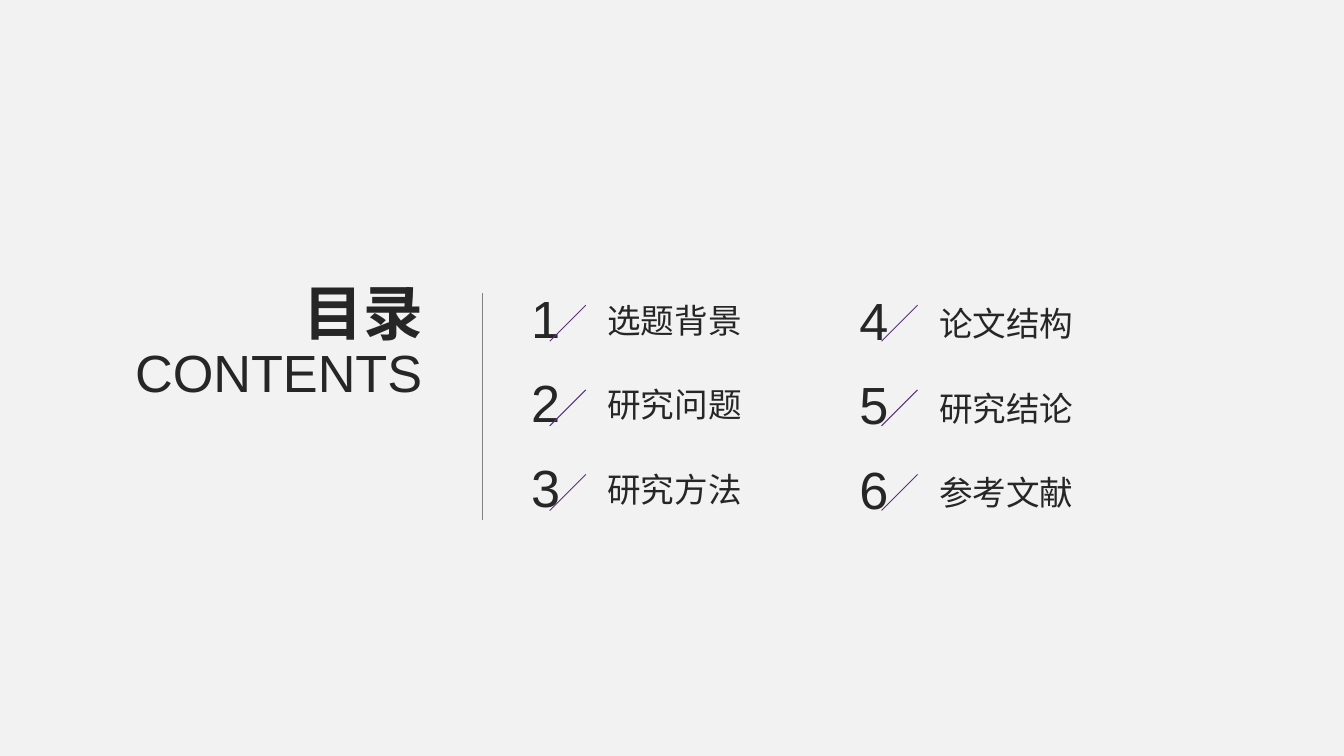
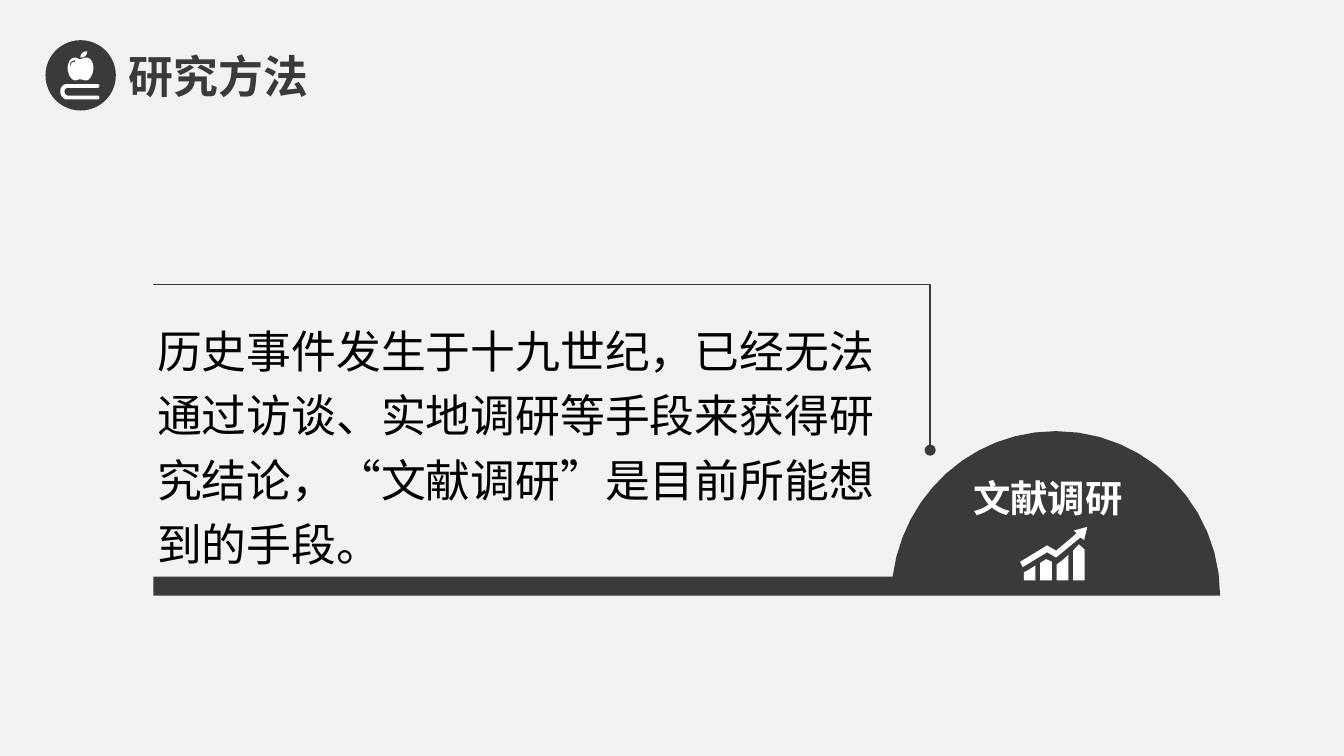
from lxml import etree
from pptx import Presentation
from pptx import util as u
from pptx.dml.color import RGBColor
from pptx.enum import lang, shapes, text
from pptx.oxml.ns import qn

PAPER, INK, DARK = "F2F2F2", "262626", "3A3A3A"
WHITE, BLACK, GREY, PLUM = "FFFFFF", "000000", "808080", "5C307D"
LATIN, HAN = "Arial", "Noto Sans CJK SC"
LEFT, MID, RIGHT = (text.PP_ALIGN.LEFT, text.PP_ALIGN.CENTER,
                    text.PP_ALIGN.RIGHT)


def rgb(code):
    return RGBColor.from_string(code)


def trace(start, steps):
    """Points after start; a step of six numbers is a cubic curve."""
    points, (x, y) = [], start
    for step in steps:
        if len(step) == 6:
            a, b, c, d, e, f = step
            for i in range(1, 13):
                t = i / 12
                s = 1 - t
                k = (s ** 3, 3 * s * s * t, 3 * s * t * t, t ** 3)
                points.append((k[0] * x + k[1] * a + k[2] * c + k[3] * e,
                               k[0] * y + k[1] * b + k[2] * d + k[3] * f))
        else:
            points.append(step)
        x, y = step[-2:]
    return [(u.Cm(px), u.Cm(py)) for px, py in points]


class Deck:
    def __init__(self):
        self.prs = Presentation()
        self.prs.slide_width = u.Cm(25.4)
        self.prs.slide_height = u.Cm(14.29)

    def page(self):
        self.slide = self.prs.slides.add_slide(self.prs.slide_layouts[5])
        fill = self.slide.background.fill
        fill.solid()
        fill.fore_color.rgb = rgb(PAPER)
        self.shapes = self.slide.shapes

    def letter(self, box, words, size, color, face=HAN, bold=False,
               align=LEFT, wrap=False, gap=None, inset=True):
        """Put one styled run of text into a box."""
        frame = box.text_frame
        frame.word_wrap = wrap
        frame.auto_size = text.MSO_AUTO_SIZE.NONE
        frame.vertical_anchor = text.MSO_ANCHOR.TOP
        if not inset:
            frame.margin_left = frame.margin_right = 0
            frame.margin_top = frame.margin_bottom = 0
        para = frame.paragraphs[0]
        para.alignment = align
        if gap:
            para.line_spacing = gap
        run = para.add_run()
        run.text = words
        font = run.font
        font.size, font.bold, font.name = u.Pt(size), bold, face
        font.color.rgb = rgb(color)
        font.language_id = lang.MSO_LANGUAGE_ID.SIMPLIFIED_CHINESE
        latin = run._r.rPr.find(qn("a:latin"))
        east = etree.Element(qn("a:ea"), typeface=HAN)
        latin.addnext(east)

    def title(self, x, y, w, h, words, size, color, **style):
        box = self.shapes.title
        box.left, box.top = u.Cm(x), u.Cm(y)
        box.width, box.height = u.Cm(w), u.Cm(h)
        self.letter(box, words, size, color, bold=True, **style)

    def label(self, x, y, w, h, words, size, color, **style):
        box = self.shapes.add_textbox(u.Cm(x), u.Cm(y), u.Cm(w), u.Cm(h))
        self.letter(box, words, size, color, **style)

    def rule(self, x1, y1, x2, y2, color):
        line = self.shapes.add_connector(
            shapes.MSO_CONNECTOR.STRAIGHT,
            u.Cm(x1), u.Cm(y1), u.Cm(x2), u.Cm(y2))
        line.line.color.rgb = rgb(color)
        line.line.width = u.Pt(0.5)
        etree.SubElement(line._element.spPr, qn("a:effectLst"))

    def paint(self, shape, color):
        shape.shadow.inherit = False
        shape.fill.solid()
        shape.fill.fore_color.rgb = rgb(color)
        shape.line.fill.background()

    def disc(self, x, y, size, color):
        self.paint(self.shapes.add_shape(
            shapes.MSO_SHAPE.OVAL, u.Cm(x), u.Cm(y), u.Cm(size),
            u.Cm(size)), color)

    def form(self, loops, closed=True):
        """Draw one outline from several loops of (start, *steps)."""
        pen = None
        for start, *steps in loops:
            x, y = u.Cm(start[0]), u.Cm(start[1])
            if pen is None:
                pen = self.shapes.build_freeform(x, y)
            else:
                pen.move_to(x, y)
            pen.add_line_segments(trace(start, steps), close=closed)
        return pen.convert_to_shape()

    def solid(self, color, *loops):
        self.paint(self.form(loops), color)

    def lead(self, color, *points):
        """Draw an open line that ends in a dot."""
        shape = self.form([points], closed=False)
        shape.shadow.inherit = False
        shape.fill.background()
        shape.line.color.rgb = rgb(color)
        shape.line.width = u.Pt(1)
        line = shape._element.spPr.find(qn("a:ln"))
        etree.SubElement(line, qn("a:tailEnd"), type="oval")


def contents(deck):
    deck.page()
    deck.title(5.49, 5.08, 2.79, 1.63, "目录", 32, INK)
    deck.label(0.61, 6.3, 7.62, 1.45, "CONTENTS", 28, INK, face=LATIN,
               align=RIGHT, wrap=True)
    deck.rule(9.12, 5.54, 9.12, 9.83, GREY)
    topics = ["选题背景", "研究问题", "研究方法",
              "论文结构", "研究结论", "参考文献"]
    # number left, number top, slash left, topic left, topic top
    cols = [(9.78, 5.28, 10.39, 11.23, 5.54),
            (15.98, 5.32, 16.66, 17.5, 5.6)]
    for i, topic in enumerate(topics):
        col, row = divmod(i, 3)
        num, top, slash, name, base = cols[col]
        down = row * 1.6
        deck.label(num, top + down, 1.07, 1.45, str(i + 1), 28, INK,
                   face=LATIN, align=MID)
        deck.rule(slash + 0.68, 5.77 + down, slash, 6.45 + down, PLUM)
        deck.label(name, base + down, 3.07, 1.02, topic, 18, INK)


def badge(deck):
    """Fruit above a book, on a disc."""
    deck.disc(0.86, 0.76, 1.33, DARK)
    book = [(1.85, 1.88), (1.27, 1.88),
            (1.19, 1.88, 1.14, 1.8, 1.14, 1.73),
            (1.14, 1.65, 1.19, 1.59, 1.27, 1.59), (1.85, 1.59),
            (1.89, 1.59, 1.89, 1.66, 1.85, 1.66), (1.3, 1.66),
            (1.25, 1.66, 1.22, 1.68, 1.22, 1.73),
            (1.22, 1.78, 1.25, 1.81, 1.3, 1.81), (1.85, 1.81),
            (1.89, 1.81, 1.89, 1.88, 1.85, 1.88)]
    leaf = [(1.52, 1.09), (1.6, 1.09, 1.65, 1.04, 1.65, 0.97),
            (1.57, 0.97, 1.52, 1.02, 1.52, 1.09)]
    fruit = [(1.75, 1.19), (1.73, 1.12, 1.68, 1.09, 1.63, 1.09),
             (1.57, 1.09, 1.55, 1.12, 1.52, 1.12),
             (1.47, 1.12, 1.47, 1.09, 1.42, 1.09),
             (1.37, 1.09, 1.32, 1.12, 1.3, 1.19),
             (1.24, 1.3, 1.32, 1.52, 1.42, 1.52),
             (1.47, 1.52, 1.47, 1.5, 1.52, 1.5),
             (1.55, 1.5, 1.57, 1.52, 1.63, 1.52),
             (1.73, 1.52, 1.8, 1.3, 1.75, 1.19)]
    shine = [(1.42, 1.17), (1.38, 1.17, 1.35, 1.19, 1.34, 1.22),
             (1.33, 1.25), (1.32, 1.24),
             (1.32, 1.18, 1.37, 1.14, 1.42, 1.14)]
    deck.solid(WHITE, book, leaf, fruit, shine)


def growth(deck):
    """Rising arrow over four bars."""
    arrow = [(19.28, 10.62), (19.79, 10.31), (19.96, 10.41),
             (20.35, 10.08), (20.29, 10.03), (20.55, 9.96),
             (20.49, 10.21), (20.42, 10.16), (19.96, 10.54),
             (19.79, 10.44), (19.33, 10.72)]
    tops = [(10.82, 10.76, 10.69), (10.64, 10.57, 10.62),
            (10.67, 10.59, 10.49), (10.41, 10.29, 10.39)]
    bars = []
    for i, (a, b, c) in enumerate(tops):
        x = 19.35 + i * 0.31
        bars.append([(x, 10.97), (x, a), (x + 0.11, b), (x + 0.22, c),
                     (x + 0.22, 10.97)])
    deck.solid(WHITE, arrow, *bars)


def method(deck):
    deck.page()
    deck.title(2.18, 0.79, 4.78, 1.27, "研究方法", 24, DARK,
               face=LATIN, wrap=True)
    badge(deck)
    deck.solid(DARK, [(19.96, 8.15), (18.36, 8.15, 17.07, 9.35, 16.87, 10.9),
                      (2.9, 10.9), (2.9, 11.26), (23.06, 11.26),
                      (23.06, 9.55, 21.67, 8.15, 19.96, 8.15)])
    deck.lead(DARK, (2.9, 5.38), (17.58, 5.38), (17.58, 8.51))
    deck.label(18.39, 8.99, 2.84, 0.86, "文献调研", 20, WHITE, bold=True,
               inset=False)
    deck.label(2.72, 5.79, 14.86, 5.08,
               "历史事件发生于十九世纪，已经无法通过访谈、实地调研等手段来"
               "获得研究结论，“文献调研”是目前所能想到的手段。",
               24, BLACK, face=LATIN, wrap=True, gap=1.2)
    growth(deck)


def main():
    deck = Deck()
    contents(deck)
    method(deck)
    deck.prs.save("out.pptx")


if __name__ == "__main__":
    main()
